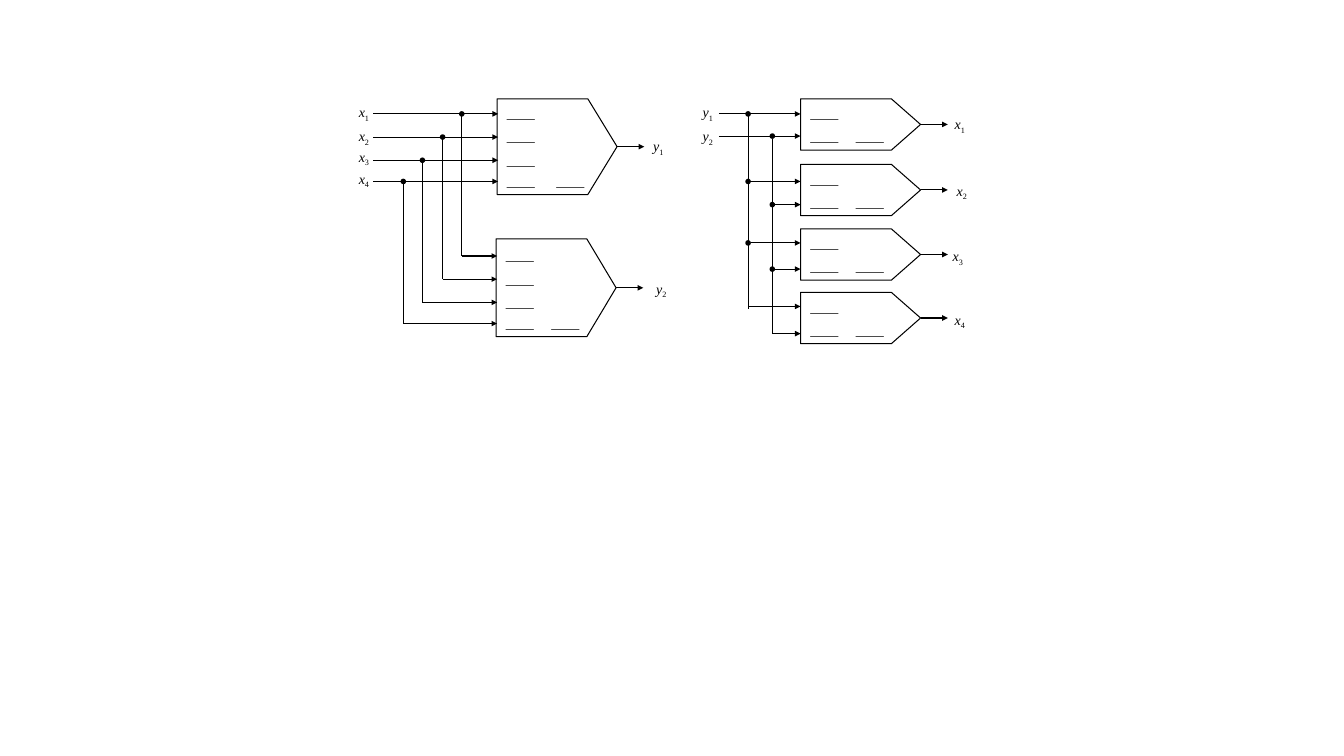
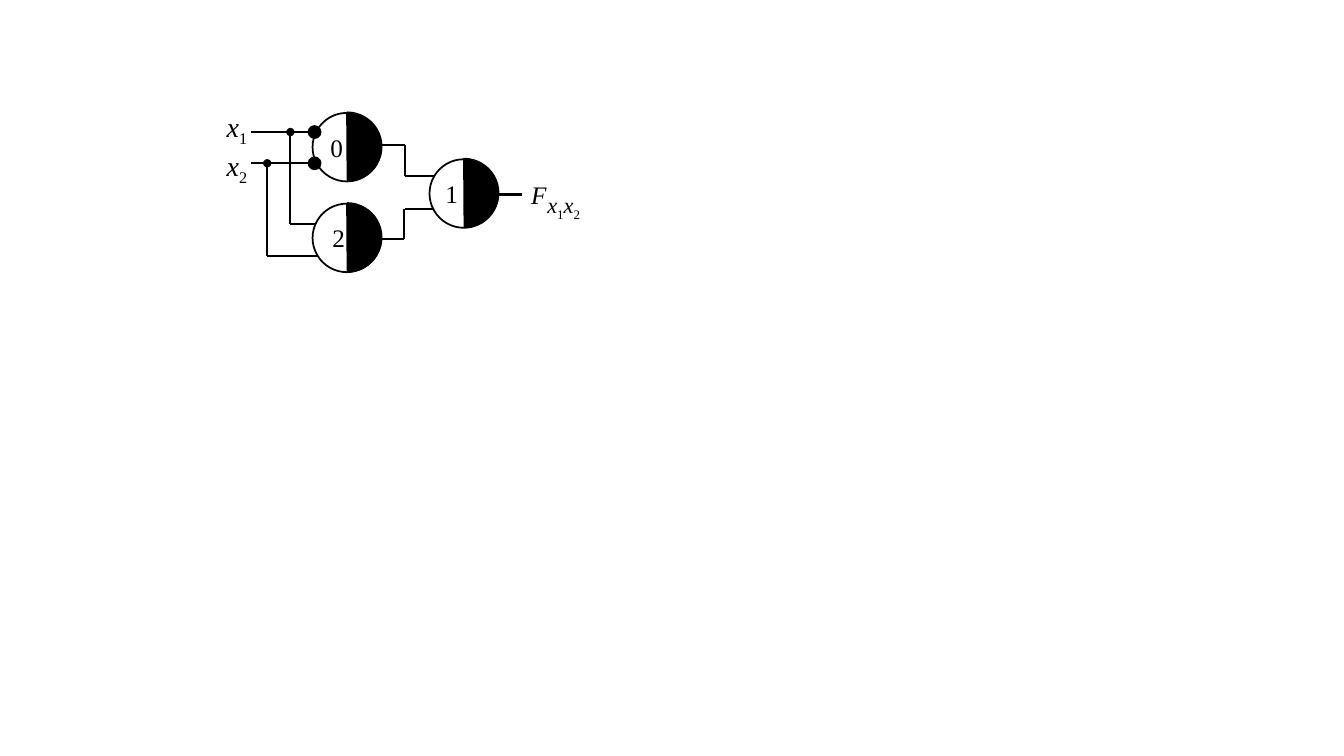
"""Draw logic networks of coder blocks and half-black gates."""
from dataclasses import dataclass

from lxml import etree
from pptx import Presentation
from pptx.dml.color import RGBColor
from pptx.enum.shapes import MSO_CONNECTOR, MSO_SHAPE
from pptx.enum.text import MSO_ANCHOR, MSO_AUTO_SIZE, PP_ALIGN
from pptx.oxml.ns import qn
from pptx.util import Inches, Pt

LINE = MSO_CONNECTOR.STRAIGHT
OVAL = MSO_SHAPE.OVAL
CHORD = MSO_SHAPE.CHORD
MIDDLE = MSO_ANCHOR.MIDDLE
GROW = MSO_AUTO_SIZE.SHAPE_TO_FIT_TEXT
LEFT, CENTER, RIGHT = PP_ALIGN.LEFT, PP_ALIGN.CENTER, PP_ALIGN.RIGHT
FONT = "Times New Roman"
BLACK, WHITE = "000000", "FFFFFF"


@dataclass
class Wire:
    x1: float
    y1: float
    x2: float
    y2: float
    head: str = ""
    tail: str = ""
    size: str = "med"


@dataclass
class Label:
    text: str
    x: float
    y: float
    w: float = 0.31
    h: float = 0.27
    pts: int = 10
    math: bool = True
    wrap: bool = False
    align: PP_ALIGN = LEFT


@dataclass
class Block:
    x: float
    y: float
    h: float
    dash: float
    steps: tuple
    gap: float
    out: Label


@dataclass
class Gate:
    digit: str
    x: float
    y: float
    inset: float


def paint(code: str) -> RGBColor:
    return RGBColor.from_string(code)


def add_wire(slide, wire: Wire, width: float) -> None:
    ends = [Inches(v) for v in (wire.x1, wire.y1, wire.x2, wire.y2)]
    line = slide.shapes.add_connector(LINE, *ends)
    line.line.color.rgb = paint(BLACK)
    line.line.width = Pt(width)
    props = line._element.spPr
    stroke = props.find(qn("a:ln"))
    for tag, kind in (("a:headEnd", wire.head), ("a:tailEnd", wire.tail)):
        if kind:
            etree.SubElement(stroke, qn(tag), type=kind, w=wire.size, len=wire.size)
    etree.SubElement(props, qn("a:effectLst"))


def add_label(slide, label: Label, middle: bool = False) -> None:
    area = [Inches(v) for v in (label.x, label.y, label.w, label.h)]
    frame = slide.shapes.add_textbox(*area).text_frame
    frame.word_wrap = label.wrap
    if middle:
        frame.vertical_anchor = MIDDLE
    else:
        frame.auto_size = GROW
    for index, text in enumerate(label.text.split("\n")):
        para = frame.add_paragraph() if index else frame.paragraphs[0]
        para.alignment = label.align
        para.font.name = FONT
        para.font.size = Pt(label.pts)
        para.font.color.rgb = paint(BLACK)
        for part in text if label.math else [text]:
            run = para.add_run()
            run.text = part
            if label.math:
                run.font.italic = part.isalpha()
                if part.isdigit():
                    run._r.get_or_add_rPr().set("baseline", "-25000")


def style(shape, fill: str, width: float) -> None:
    shape.shadow.inherit = False
    if fill:
        shape.fill.solid()
        shape.fill.fore_color.rgb = paint(fill)
    else:
        shape.fill.background()
    shape.line.color.rgb = paint(BLACK)
    shape.line.width = Pt(width)


def add_block(slide, block: Block) -> None:
    x, y, low, mid = block.x, block.y, block.y + block.h, block.y + block.h / 2
    edge, tip = x + 0.9, x + 1.19
    pen = slide.shapes.build_freeform(Inches(x), Inches(low))
    rest = ((edge, low), (tip, mid), (edge, y), (x, y))
    pen.add_line_segments([(Inches(a), Inches(b)) for a, b in rest], close=True)
    style(pen.convert_to_shape(), "", 0.75)
    spots = [(x, step) for step in block.steps]
    spots.append((x + block.gap, block.steps[-1]))
    for left, step in spots:
        add_label(slide, Label("____", left, block.dash + step, 0.48, math=False))
    add_wire(slide, Wire(tip, mid, tip + 0.27, mid, tail="triangle", size="sm"), 0.75)
    add_label(slide, block.out)


def add_gate(slide, gate: Gate) -> None:
    area = [Inches(v) for v in (gate.x, gate.y, 0.68, 0.68)]
    style(slide.shapes.add_shape(OVAL, *area), WHITE, 1.25)
    add_label(slide, Label(gate.digit, gate.x + gate.inset, gate.y, 0.34, 0.68,
                           18, math=False, wrap=True, align=CENTER), middle=True)
    half = slide.shapes.add_shape(CHORD, *area[:3], Inches(0.67))
    half.adjustments[0] = 162.78
    half.adjustments[1] = 52.72
    style(half, BLACK, 2)


def draw_coders(slide) -> None:
    four, two = (0, 0.23, 0.46, 0.67), (0, 0.23)
    blocks = [Block(4.93, 0.98, 0.95, 0.99, four, 0.49, Label("y1", 6.38, 1.32)),
              Block(4.92, 2.37, 0.97, 2.4, four, 0.45, Label("y2", 6.41, 2.73))]
    outs = ((0.98, 9.37, 1.1), (1.63, 9.39, 1.76), (2.27, 9.35, 2.41), (2.9, 9.37, 3.04))
    for num, (top, left, high) in enumerate(outs, 1):
        out = Label(f"x{num}", left, high)
        blocks.append(Block(7.94, top, 0.51, top + 0.01, two, 0.45, out))
    for block in blocks:
        add_block(slide, block)

    wires = []
    ins = ((0.98, 1.13, 4.58), (1.22, 1.36, 4.39), (1.42, 1.59, 4.19), (1.64, 1.8, 4))
    for num, (high, pin, bus) in enumerate(ins, 1):
        add_label(slide, Label(f"x{num}", 3.46, high))
        low = pin + 1.41
        wires += [Wire(3.7, pin, 4.94, pin, tail="triangle"),
                  Wire(bus, low, 4.93, low, tail="triangle"),
                  Wire(bus, pin, bus, low, head="oval")]
    buses = ((0.98, 7.42, 1.13, 3.07, (1.8, 2.41, 3.04)),
             (1.22, 7.66, 1.35, 3.31, (2.03, 2.67, 3.31)))
    for num, (high, bus, pin, low, taps) in enumerate(buses, 1):
        add_label(slide, Label(f"y{num}", 6.87, high))
        wires += [Wire(7.13, pin, 7.94, pin, tail="triangle"),
                  Wire(bus, pin, bus, low, head="oval")]
        for tap in taps:
            dot = "" if tap == taps[-1] else "oval"
            wires.append(Wire(bus, tap, 7.94, tap, head=dot, tail="triangle"))
    for wire in wires:
        wire.size = "sm"
        add_wire(slide, wire, 0.75)


def draw_gates(slide) -> None:
    back = (Wire(2.65, 2.54, 3.28, 2.54), Wire(2.88, 2.22, 3.27, 2.22),
            Wire(4.02, 2.07, 4.46, 2.07), Wire(4.02, 1.75, 4.46, 1.75))
    gates = (Gate("1", 4.26, 1.58, 0.05), Gate("2", 3.1, 2.02, 0.09),
             Gate("0", 3.1, 1.12, 0.07))
    front = (Wire(3.78, 1.44, 4.02, 1.44), Wire(4.02, 1.75, 4.02, 1.44),
             Wire(3.73, 2.37, 4.01, 2.37), Wire(4.01, 2.37, 4.01, 2.07),
             Wire(4.89, 1.93, 5.18, 1.93),
             Wire(2.88, 2.22, 2.88, 1.31, tail="oval"),
             Wire(2.65, 2.54, 2.65, 1.62, tail="oval"),
             Wire(2.49, 1.31, 3.12, 1.31, tail="oval", size="lg"),
             Wire(2.49, 1.62, 3.12, 1.62, tail="oval", size="lg"))
    labels = (Label("F", 5.17, 1.73, 0.36, 0.4, 18),
              Label("x1\nx2", 2.02, 1.04, 0.53, 0.77, 20, wrap=True, align=RIGHT),
              Label("x1x2", 5.33, 1.85, 0.63, 0.37, 16, wrap=True))
    for wire in back:
        add_wire(slide, wire, 1.5)
    for gate in gates:
        add_gate(slide, gate)
    for wire in front:
        add_wire(slide, wire, 1.5)
    for label in labels:
        add_label(slide, label)


def main() -> None:
    deck = Presentation()
    deck.slide_width, deck.slide_height = Inches(13.33), Inches(7.5)
    for draw in (draw_coders, draw_gates):
        draw(deck.slides.add_slide(deck.slide_layouts[6]))
    deck.save("out.pptx")


if __name__ == "__main__":
    main()
